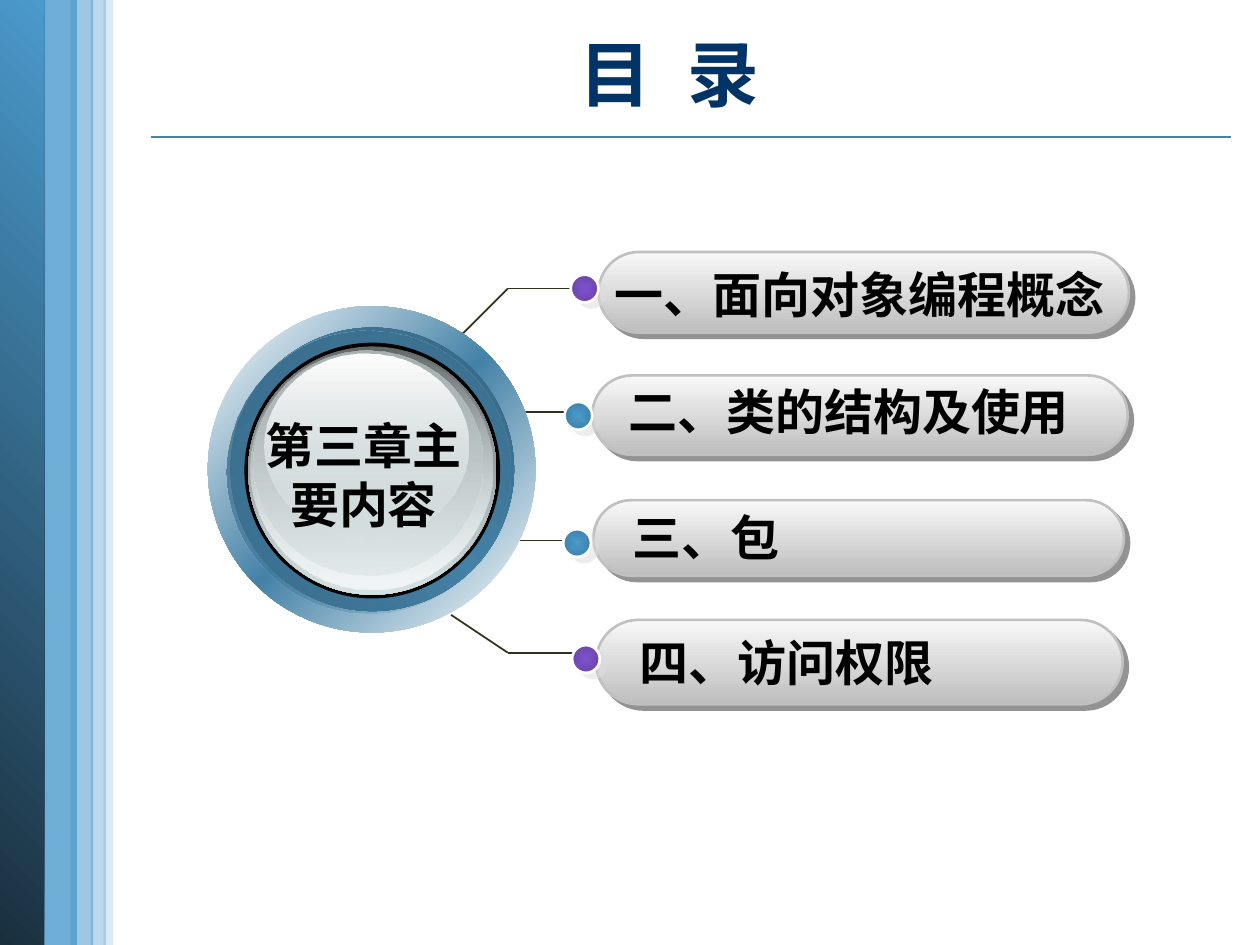
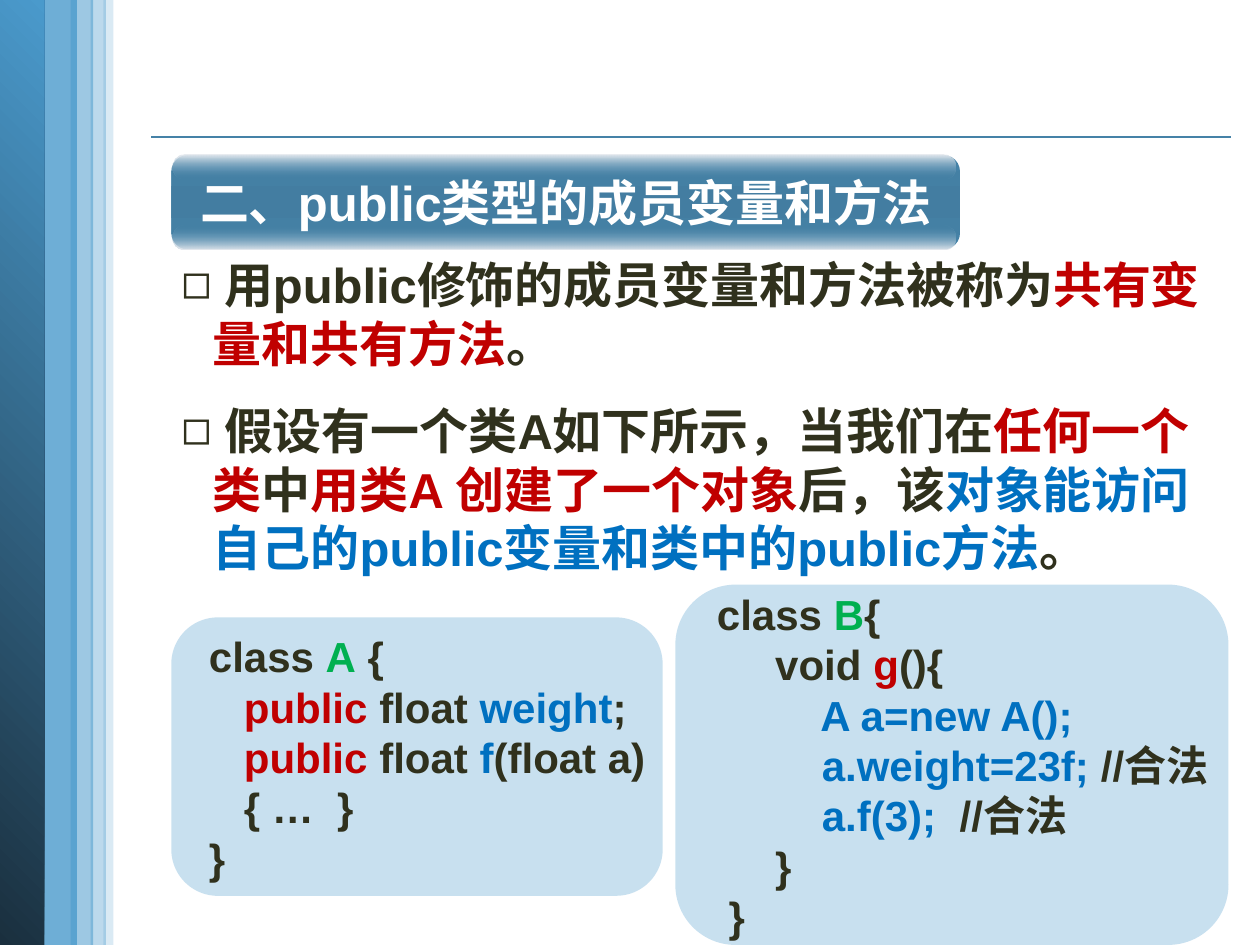
from dataclasses import dataclass

from pptx import Presentation
from pptx.dml.color import RGBColor
from pptx.enum.shapes import MSO_CONNECTOR, MSO_SHAPE
from pptx.enum.text import MSO_ANCHOR, MSO_AUTO_SIZE, PP_ALIGN
from pptx.oxml import parse_xml
from pptx.oxml.ns import nsdecls, qn
from pptx.util import Inches, Pt


@dataclass(frozen=True)
class Theme:
    """Colours, font and type sizes of the deck."""
    font: str = "Arial"
    head: int = 41
    text: int = 28
    code: int = 24
    navy: str = "003366"
    steel: str = "4582A7"
    sky: str = "4A9ACC"
    deep: str = "1A2F3E"
    ink: str = "30311D"
    black: str = "000000"
    white: str = "FFFFFF"
    red: str = "C00000"
    blue: str = "0070C0"
    green: str = "00B050"
    mist: str = "D6E1E2"
    edge: str = "C0C0C0"


T = Theme()
VIOLET = ((0, "7E52CC"), (100, "6A45AB"))
AZURE = ((0, T.sky), (100, "3E81AB"))
SILVER = ((0, "F8F8F8"), (100, "BEBEBE"))


def tint(color, alpha=100):
    """Return the XML of a colour with its opacity in percent."""
    return f'<a:srgbClr val="{color}"><a:alpha val="{alpha * 1000}"/></a:srgbClr>'


def paint(shape, fill, alpha=100, angle=90, radial=False):
    """Fill a shape with one colour or with gradient stops."""
    if isinstance(fill, str):
        xml = f'<a:solidFill {nsdecls("a")}>{tint(fill, alpha)}</a:solidFill>'
    else:
        stops = "".join(f'<a:gs pos="{pos * 1000}">{tint(*color)}</a:gs>' for pos, *color in fill)
        course = f'<a:lin ang="{angle * 60000}" scaled="0"/>'
        if radial:
            course = ('<a:path path="shape"><a:fillToRect l="50000" t="50000" '
                      'r="50000" b="50000"/></a:path>')
        xml = (f'<a:gradFill {nsdecls("a")} rotWithShape="1">'
               f'<a:gsLst>{stops}</a:gsLst>{course}</a:gradFill>')
    shape.fill.background()
    props = shape.element.spPr
    props.replace(props.find(qn("a:noFill")), parse_xml(xml))


def draw(slide, kind, box, fill, edge=None, round=None, shade=None, **look):
    """Add a painted preset shape, with an optional edge and cast shadow."""
    shape = slide.shapes.add_shape(kind, *map(Inches, box))
    shape.shadow.inherit = False
    if round is not None:
        shape.adjustments[0] = round
    paint(shape, fill, **look)
    if edge:
        shape.line.color.rgb = RGBColor.from_string(edge)
        shape.line.width = Pt(1.5)
    else:
        shape.line.fill.background()
    if shade:
        color, dist, angle = shade
        shape.element.spPr.find(qn("a:effectLst")).append(parse_xml(
            f'<a:outerShdw {nsdecls("a")} dist="{Pt(dist)}" dir="{angle * 60000}" '
            f'algn="ctr" rotWithShape="0">{tint(color, 50)}</a:outerShdw>'))
    return shape


def rule(slide, start, end, color):
    """Add a thin straight line."""
    line = slide.shapes.add_connector(MSO_CONNECTOR.STRAIGHT, *map(Inches, (*start, *end)))
    line.line.color.rgb = RGBColor.from_string(color)
    line.line.width = Pt(1)
    line.element.spPr.append(parse_xml(f'<a:effectLst {nsdecls("a")}/>'))
    return line


def write(frame, lines, size=T.text, color=T.ink, align=PP_ALIGN.LEFT, anchor=MSO_ANCHOR.MIDDLE,
          wrap=False, grow=False, mark=None, gap=0):
    """Write lines of runs, each a text or a (text, colour, spacing) tuple."""
    frame.word_wrap = wrap
    frame.auto_size = MSO_AUTO_SIZE.SHAPE_TO_FIT_TEXT if grow else MSO_AUTO_SIZE.NONE
    frame.vertical_anchor = anchor
    for row, runs in enumerate(lines):
        para = frame.add_paragraph() if row else frame.paragraphs[0]
        para.alignment = align
        para.space_before = Pt(gap if row else 0)
        if mark:
            props = para._p.get_or_add_pPr()
            props.set("marL", str(Inches(0.25)))
            props.set("indent", str(-Inches(0.25)))
            props.append(parse_xml(f'<a:buChar {nsdecls("a")} char="{mark}"/>'))
        for part in runs:
            text, hue, space = ((part,) if isinstance(part, str) else part) + (None,) * (
                2 if isinstance(part, str) else 3 - len(part))
            run = para.add_run()
            run.text = text
            run.font.name = T.font
            run.font.size = Pt(size)
            run.font.bold = True
            run.font.color.rgb = RGBColor.from_string(hue or color)
            if space:
                run.font._element.set("spc", str(space))


def label(slide, box, text, **look):
    """Add a text box holding one line of text."""
    frame = slide.shapes.add_textbox(*map(Inches, box)).text_frame
    write(frame, [[text]], color=T.black, grow=True, **look)


def place(holder, box):
    """Move a placeholder to a box."""
    holder.left, holder.top, holder.width, holder.height = map(Inches, box)
    return holder.text_frame


def dress(deck, slide):
    """Draw the side bands and head rule, then hand them to the master."""
    parts = [rule(slide, (1.2, 1.09), (9.77, 1.09), T.steel)]
    bands = ((0.3, 0.31, T.sky, 80), (-0.01, 0.36, ((0, T.deep), (100, T.sky)), 100),
             (0.82, 0.08, T.sky, 20), (0.56, 0.18, T.sky, 54), (0.72, 0.12, T.sky, 37))
    for left, width, fill, alpha in bands:
        parts.append(draw(slide, MSO_SHAPE.RECTANGLE, (left, 0, width, 7.5), fill,
                          alpha=alpha, angle=315))
    tree = deck.slide_master.element.cSld.spTree
    for spot, part in enumerate(parts):
        part.element.xpath(".//p:cNvPr")[0].set("id", str(100 + spot))
        tree.insert(2 + spot, part.element)


def hub(slide, left, top):
    """Draw the glossy ring of discs with the chapter name."""
    discs = (
        (0, 0, 2.6, 2.59, ((0, T.white), (50, T.steel), (100, T.white)), 45),
        (0.18, 0.17, 2.25, 2.25, ((0, "356480"), (50, T.steel), (100, "356480")), 315),
        (0.15, 0.19, 2.25, 2.25, ((0, "396B89"), (100, T.steel, 0)), 45),
        (0.29, 0.29, 2.03, 2.03, T.black, 0),
        (0.32, 0.32, 1.97, 1.97, ((0, "636869"), (100, T.mist)), 90),
        (0.34, 0.33, 1.92, 1.92, ((0, T.mist, 0), (100, "F1F5F5")), 90),
        (0.36, 0.35, 1.82, 1.79, ((0, "AAB2B3"), (100, T.mist, 48)), 90),
        (0.45, 0.38, 1.62, 1.46, ((0, T.white), (100, T.mist, 38)), 90),
    )
    for dx, dy, width, height, fill, angle in discs:
        draw(slide, MSO_SHAPE.OVAL, (left + dx, top + dy, width, height), fill, angle=angle)
    label(slide, (left + 0.3, top + 0.82, 1.87, 1.04), "第三章主要内容",
          align=PP_ALIGN.CENTER, anchor=MSO_ANCHOR.TOP, wrap=True)


def pill(slide, box, dot, hue, text, spot):
    """Draw one entry: a capsule, its dot and its label."""
    left, top = box[:2]
    draw(slide, MSO_SHAPE.ROUNDED_RECTANGLE, box, SILVER, edge=T.edge, round=0.5,
         shade=("292929", 4.2, 45))
    draw(slide, MSO_SHAPE.OVAL, (left + dot[0], top + dot[1], 0.22, 0.22), hue,
         edge=T.white, shade=("DDDDDD", 5, 37), radial=True)
    dx, dy, width = spot
    label(slide, (left + dx, top + dy, width, 0.57), text)


def agenda(slide):
    """Build the contents slide."""
    write(place(slide.shapes.title, (0.96, 0.02, 8.7, 1.11)),
          [["目", (" ", T.navy, 1140), "录"]], size=T.head, color=T.navy, align=PP_ALIGN.CENTER)
    paths = (((3.99, 3.27), (4.66, 3.27)), ((3.95, 4.29), (4.61, 4.29)),
             ((3.66, 2.66), (4.03, 2.29), (4.62, 2.29)),
             ((3.58, 4.88), (4.03, 5.18), (4.62, 5.18)))
    for path in paths:
        for start, end in zip(path, path[1:]):
            rule(slide, start, end, T.ink)
    items = (
        ((4.75, 2, 4.21, 0.64), (-0.22, 0.18), VIOLET, "一、面向对象编程概念", (0.03, 0.05, 4.15)),
        ((4.7, 2.98, 4.25, 0.63), (-0.22, 0.21), AZURE, "二、类的结构及使用", (0.19, 0, 3.75)),
        ((4.71, 3.97, 4.21, 0.6), (-0.24, 0.23), AZURE, "三、包", (0.21, 0.01, 1.39)),
        ((4.73, 4.92, 4.18, 0.67), (-0.19, 0.2), VIOLET, "四、访问权限", (0.25, 0.05, 2.57)),
    )
    for item in items:
        pill(slide, *item)
    hub(slide, 1.65, 2.43)


def banner(slide, left, top, text):
    """Draw the shiny bar and set the slide title on it."""
    kind = MSO_SHAPE.ROUNDED_RECTANGLE
    draw(slide, kind, (left, top, 6.26, 0.75),
         ((0, T.steel), (50, "437DA1"), (100, T.steel)), round=0.175)
    draw(slide, kind, (left + 0.01, top + 0.56, 6.21, 0.19),
         ((0, T.steel, 0), (100, "E2E7ED")), round=0.5)
    draw(slide, kind, (left + 0.01, top, 6.21, 0.19),
         ((0, "EAEDF1"), (100, T.steel, 0)), round=0.5)
    title = slide.shapes.title
    write(place(title, (left, top, 6.26, 0.75)), [[text]], color=T.white, align=PP_ALIGN.CENTER)
    slide.shapes.element.append(title.element) if hasattr(slide.shapes, "element") else \
        title.element.getparent().append(title.element)


def card(slide, box, lines):
    """Draw a pale rounded card of code."""
    shape = draw(slide, MSO_SHAPE.ROUNDED_RECTANGLE, box, T.sky, alpha=30, round=0.167)
    write(shape.text_frame, lines, size=T.code)


def access(slide):
    """Build the slide on public members."""
    banner(slide, 1.36, 1.23, "二、public类型的成员变量和方法")
    points = [
        [" 用public修饰的成员变量和方法被称为", ("共有变量和共有方法", T.red), "。"],
        [" 假设有一个类A如下所示，当我们在", ("任何一个类", T.red), "中",
         ("用类A 创建了一个对象", T.red), "后，该",
         ("对象能访问自己的public变量和类中的public方法", T.blue), "。"],
    ]
    write(place(slide.placeholders[1], (1.34, 1.97, 8.31, 2.67)), points,
          anchor=MSO_ANCHOR.TOP, wrap=True, mark="◻", gap=16)
    card(slide, (1.36, 4.9, 3.9, 2.21), [
        [" class ", ("A", T.green), " {"],
        [("    public ", T.red), "float ", ("weight", T.blue), ";"],
        [("    public", T.red), " float ", ("f", T.blue), "(float a)"],
        ["    { …  }"],
        [" }"],
    ])
    card(slide, (5.36, 4.64, 4.39, 2.86), [
        [" class ", ("B", T.green), "{"],
        ["      void ", ("g", T.red), "(){"],
        [("          A a=new A();", T.blue)],
        [("          a.weight=23f; ", T.blue), "//合法"],
        [("          a.f(3);  ", T.blue), "//合法"],
        ["      }"],
        ["  }"],
    ])


def main():
    """Build and save the deck."""
    deck = Presentation()
    deck.slide_width, deck.slide_height = Inches(10), Inches(7.5)
    first = deck.slides.add_slide(deck.slide_layouts[5])
    dress(deck, first)
    agenda(first)
    access(deck.slides.add_slide(deck.slide_layouts[1]))
    deck.save("out.pptx")


if __name__ == "__main__":
    main()
